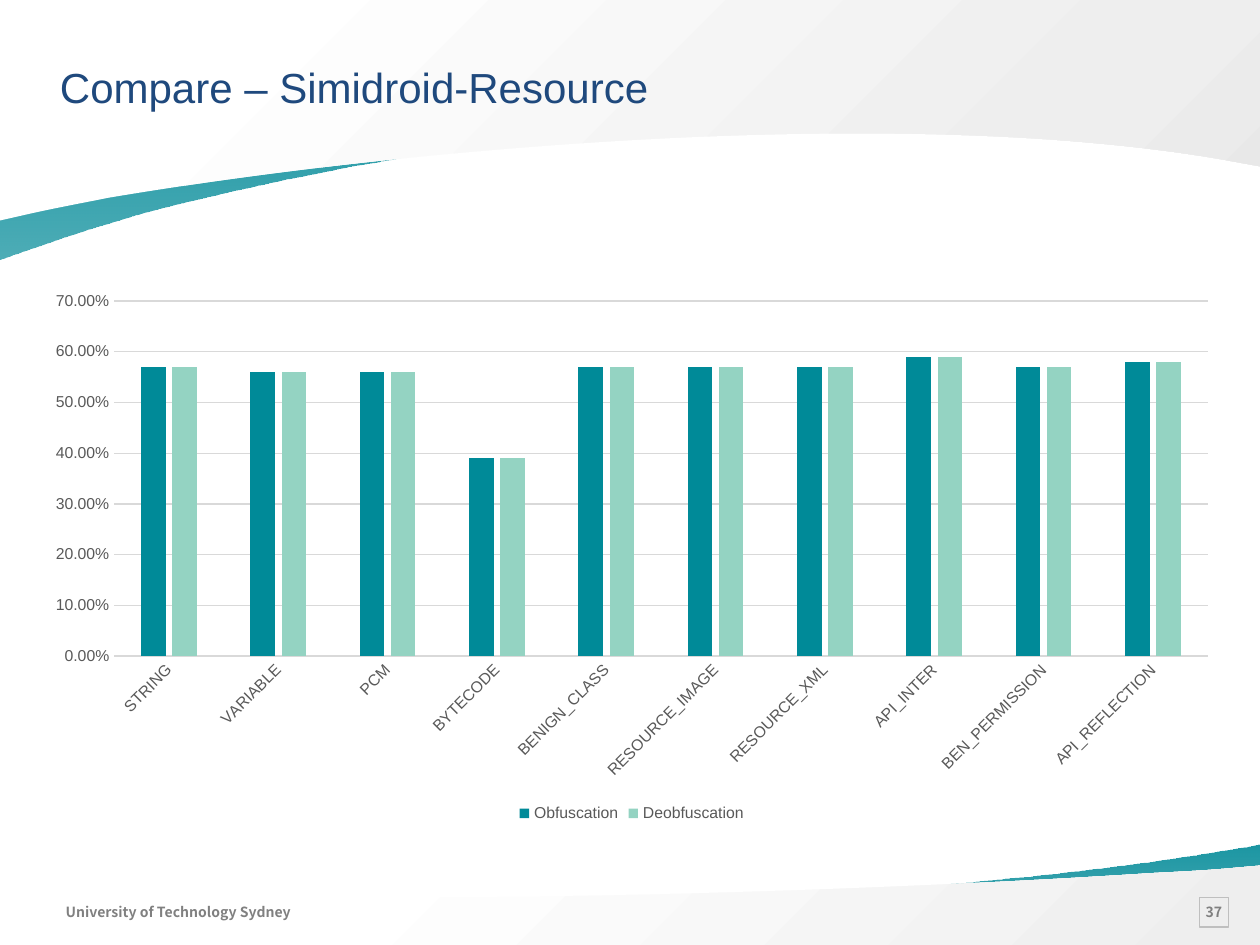
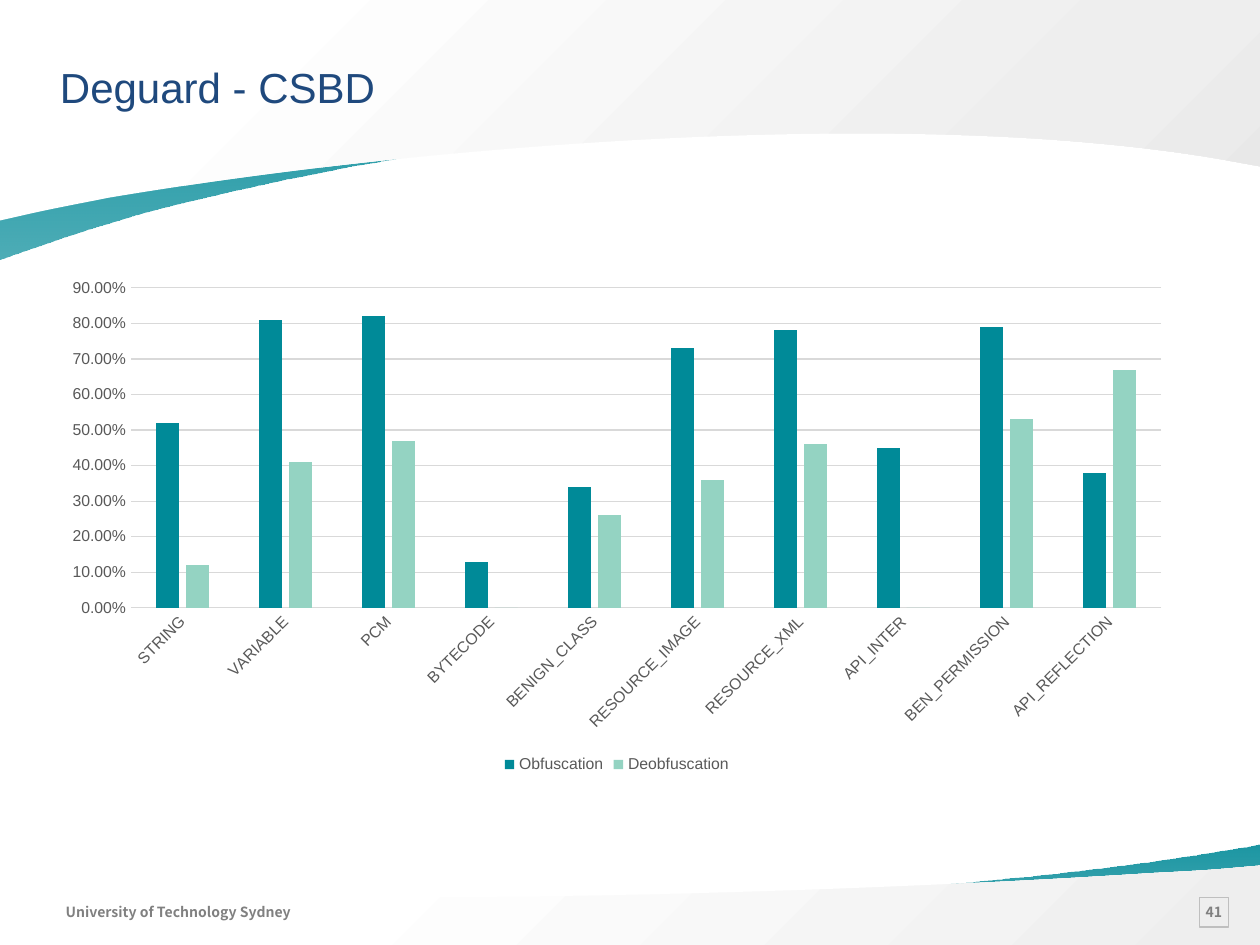
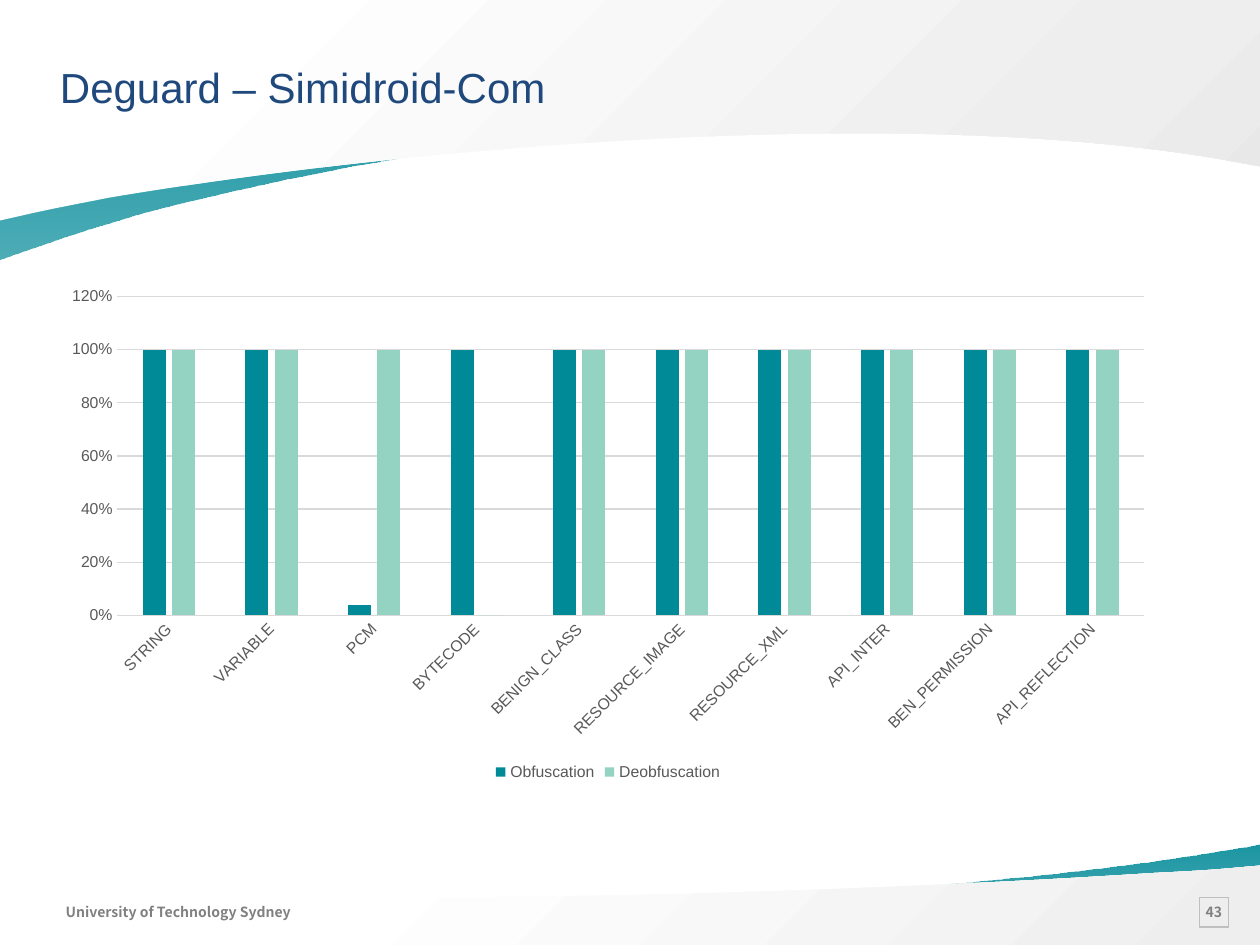
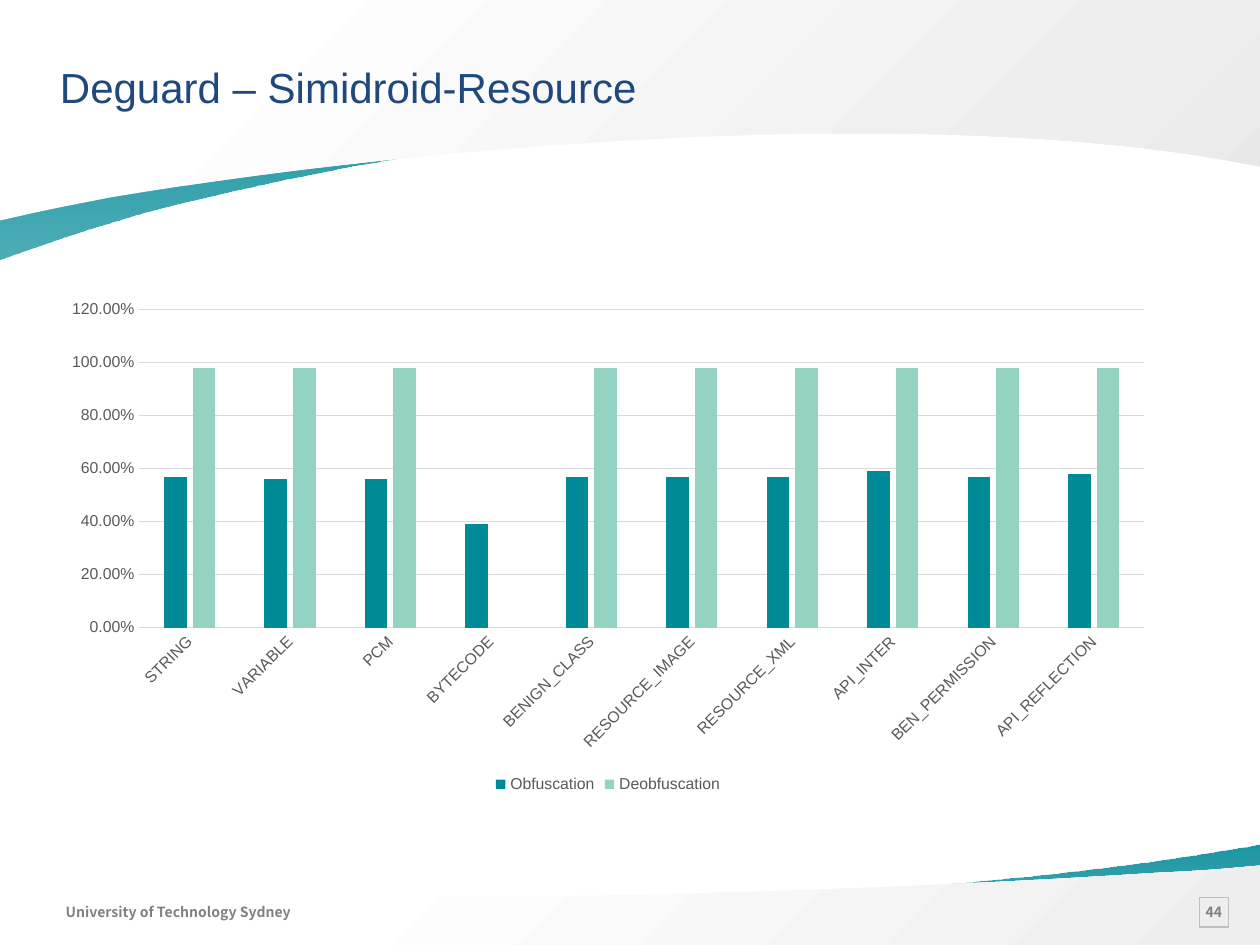
from pptx import Presentation
from pptx import util as u
from pptx.chart import data
from pptx.dml.color import RGBColor
from pptx.enum import chart as charts, shapes, text
from pptx.oxml import parse_xml
from pptx.oxml.ns import nsdecls

COLOURS = {
    "teal": "008A98",
    "mint": "94D3C2",
    "white": "FFFFFF",
    "pale": "EEEEEE",
    "silver": "E8E8E8",
    "title": "1F497D",
    "footer": "808080",
    "frame": "BFBFBF",
    "grid": "D9D9D9",
    "label": "595959",
}
RGB = {name: RGBColor.from_string(value) for name, value in COLOURS.items()}
TITLE_FONT = "Arial"
FOOTER_FONT = "Noto Sans CJK SC"

TEAL_FADE = (90, [(0, "teal", 90), (100, "teal", 70)])
FOOTER_GREY = (45, [(26, "white", 100), (100, "pale", 100)])
HEADER_GREY = (45, [(17, "white", 100), (81, "pale", 100), (100, "silver", 100)])

WAVES = [
    (TEAL_FADE, [
        [(720, 482.4)], [(720, 529.2)], [(0, 529.2)], [(0, 509.76)], [(0.72, 509.76)],
        [(162.72, 533.52), (442.8, 516.24), (604.08, 498.96)],
        [(636.48, 495.36), (673.2, 490.32), (712.08, 483.84)],
    ]),
    (FOOTER_GREY, [
        [(720, 494.64)], [(720, 540)], [(0, 540)], [(0, 506.16)], [(23.76, 507.6)],
        [(211.68, 519.12), (491.76, 509.76), (658.08, 498.96)],
        [(672.48, 498.24), (688.32, 497.52), (704.16, 496.08)],
    ]),
    (TEAL_FADE, [
        [(0, 148.32)], [(0, 47.52)], [(720, 47.52)], [(720, 89.28)], [(719.28, 88.56)],
        [(557.28, 38.16), (277.2, 74.16), (115.92, 113.04)],
        [(83.52, 120.24), (46.8, 131.76), (7.92, 145.44)],
    ]),
    (HEADER_GREY, [
        [(0, 126)], [(0, 0)], [(720, 0)], [(720, 95.04)], [(696.24, 90.72)],
        [(508.32, 59.04), (228.24, 84.96), (61.92, 113.04)],
        [(47.52, 115.92), (31.68, 118.8), (15.84, 122.4)],
    ]),
]

CATEGORIES = [
    "STRING", "VARIABLE", "PCM", "BYTECODE", "BENIGN_CLASS",
    "RESOURCE_IMAGE", "RESOURCE_XML", "API_INTER", "BEN_PERMISSION", "API_REFLECTION",
]
RESOURCE_SCORES = [0.57, 0.56, 0.56, 0.39, 0.57, 0.57, 0.57, 0.59, 0.57, 0.58]

SLIDES = [
    ("Compare – Simidroid-Resource", "37", (18.2, 160.5, 685.6, 312.5), "0.00%",
     RESOURCE_SCORES, RESOURCE_SCORES),
    ("Deguard - CSBD", "41", (28.5, 153.4, 648, 291.6), "0.00%",
     [0.52, 0.81, 0.82, 0.13, 0.34, 0.73, 0.78, 0.45, 0.79, 0.38],
     [0.12, 0.41, 0.47, 0, 0.26, 0.36, 0.46, 0, 0.53, 0.67]),
    ("Deguard – Simidroid-Com", "43", (28.5, 158.4, 637.9, 290.9), "0%",
     [1, 1, 0.04, 1, 1, 1, 1, 1, 1, 1],
     [1, 1, 1, 0, 1, 1, 1, 1, 1, 1]),
    ("Deguard – Simidroid-Resource", "44", (28.5, 165.9, 637.9, 290.4), "0.00%",
     RESOURCE_SCORES,
     [0.98, 0.98, 0.98, 0, 0.98, 0.98, 0.98, 0.98, 0.98, 0.98]),
]


def write(shape, words, font_name, size, colour, bold, insets, wrap):
    frame = shape.text_frame
    frame.text = words
    frame.word_wrap = wrap
    frame.auto_size = text.MSO_AUTO_SIZE.NONE
    frame.margin_left, frame.margin_top, frame.margin_right, frame.margin_bottom = map(u.Pt, insets)
    font = frame.paragraphs[0].runs[0].font
    font.name, font.size, font.bold = font_name, u.Pt(size), bold
    font.color.rgb = RGB[colour]
    return frame


presentation = Presentation()
presentation.slide_width, presentation.slide_height = u.Pt(720), u.Pt(540)
layout = presentation.slide_layouts[5]
for placeholder in list(layout.placeholders):
    if placeholder.placeholder_format.type != shapes.PP_PLACEHOLDER.TITLE:
        layout.shapes.element.remove(placeholder.element)
slides = [presentation.slides.add_slide(layout) for _ in SLIDES]

shared_shapes = []
for (angle, stops), steps in WAVES:
    corners = [(u.Pt(x), u.Pt(y)) for x, y in (step[-1] for step in steps)]
    builder = slides[0].shapes.build_freeform(*corners[0])
    builder.add_line_segments(corners[1:], close=True)
    wave = builder.convert_to_shape()
    wave.line.fill.background()
    wave.shadow.inherit = False

    outline = wave.element.xpath(".//a:path")[0]
    for segment, step in zip(list(outline), steps):
        if len(step) == 3:
            point_xml = "".join(
                f'<a:pt x="{u.Pt(x) - wave.left}" y="{u.Pt(y) - wave.top}"/>' for x, y in step)
            outline.replace(segment, parse_xml(
                f'<a:cubicBezTo {nsdecls("a")}>{point_xml}</a:cubicBezTo>'))

    stop_xml = "".join(
        f'<a:gs pos="{position * 1000}"><a:srgbClr val="{COLOURS[colour]}">'
        f'<a:alpha val="{opacity * 1000}"/></a:srgbClr></a:gs>'
        for position, colour, opacity in stops
    )
    wave.element.spPr.insert(2, parse_xml(
        f'<a:gradFill {nsdecls("a")} rotWithShape="1"><a:gsLst>{stop_xml}</a:gsLst>'
        f'<a:lin ang="{angle * 60000}" scaled="0"/></a:gradFill>'
    ))
    shared_shapes.append(wave)

university = slides[0].shapes.add_textbox(*map(u.Pt, (37.5, 512.6, 136, 16.6)))
write(university, "University of Technology Sydney", FOOTER_FONT, 8, "footer", True,
      (0, 3.6, 7.2, 3.6), False)
shared_shapes.append(university)
for shape in shared_shapes:
    layout.shapes.element.append(shape.element)

for slide, (heading, number, place, number_format, obfuscated, deobfuscated) in zip(slides, SLIDES):
    title = slide.shapes.title
    title.left, title.top, title.width, title.height = map(u.Pt, (28.5, 29.5, 648, 41.8))
    frame = write(title, heading, TITLE_FONT, 24, "title", False, (5.76, 5.76, 0, 5.76), True)
    frame.vertical_anchor = text.MSO_ANCHOR.TOP
    frame.paragraphs[0].alignment = text.PP_ALIGN.LEFT

    number_box = slide.shapes.add_shape(
        shapes.MSO_SHAPE.RECTANGLE, *map(u.Pt, (685.4, 512.8, 16.6, 17)))
    number_box.shadow.inherit = False
    number_box.fill.background()
    number_box.line.color.rgb = RGB["frame"]
    number_box.line.width = u.Pt(0.75)
    frame = write(number_box, number, FOOTER_FONT, 8, "footer", True, (5.76,) * 4, False)
    frame.vertical_anchor = text.MSO_ANCHOR.MIDDLE
    frame.paragraphs[0].alignment = text.PP_ALIGN.CENTER

    scores = data.CategoryChartData(number_format=number_format)
    scores.categories = CATEGORIES
    scores.add_series("Obfuscation", obfuscated)
    scores.add_series("Deobfuscation", deobfuscated)
    chart = slide.shapes.add_chart(
        charts.XL_CHART_TYPE.COLUMN_CLUSTERED, *map(u.Pt, place), scores).chart
    chart.has_title = False
    chart.font.name, chart.font.size = TITLE_FONT, u.Pt(10)
    chart.has_legend = True
    chart.legend.position = charts.XL_LEGEND_POSITION.BOTTOM
    chart.legend.include_in_layout = False

    plot = chart.plots[0]
    plot.gap_width, plot.overlap = 219, -27
    plot.vary_by_categories = False
    for series, colour in zip(plot.series, ("teal", "mint")):
        series.format.fill.solid()
        series.format.fill.fore_color.rgb = RGB[colour]
        series.invert_if_negative = False

    category_axis, value_axis = chart.category_axis, chart.value_axis
    for axis in (category_axis, value_axis):
        axis.major_tick_mark = axis.minor_tick_mark = charts.XL_TICK_MARK.NONE
    for font in (category_axis.tick_labels.font, value_axis.tick_labels.font, chart.legend.font):
        font.name, font.size = TITLE_FONT, u.Pt(9)
        font.color.rgb = RGB["label"]
    value_axis.has_major_gridlines = True
    for line in (category_axis.format.line, value_axis.major_gridlines.format.line):
        line.color.rgb = RGB["grid"]
        line.width = u.Pt(0.75)
    value_axis.format.line.fill.background()
    value_axis.tick_labels.number_format = number_format
    value_axis.tick_labels.number_format_is_linked = False
    chart.element.xpath(".//c:catAx/c:txPr/a:bodyPr")[0].set("rot", "-2700000")

presentation.save("out.pptx")
